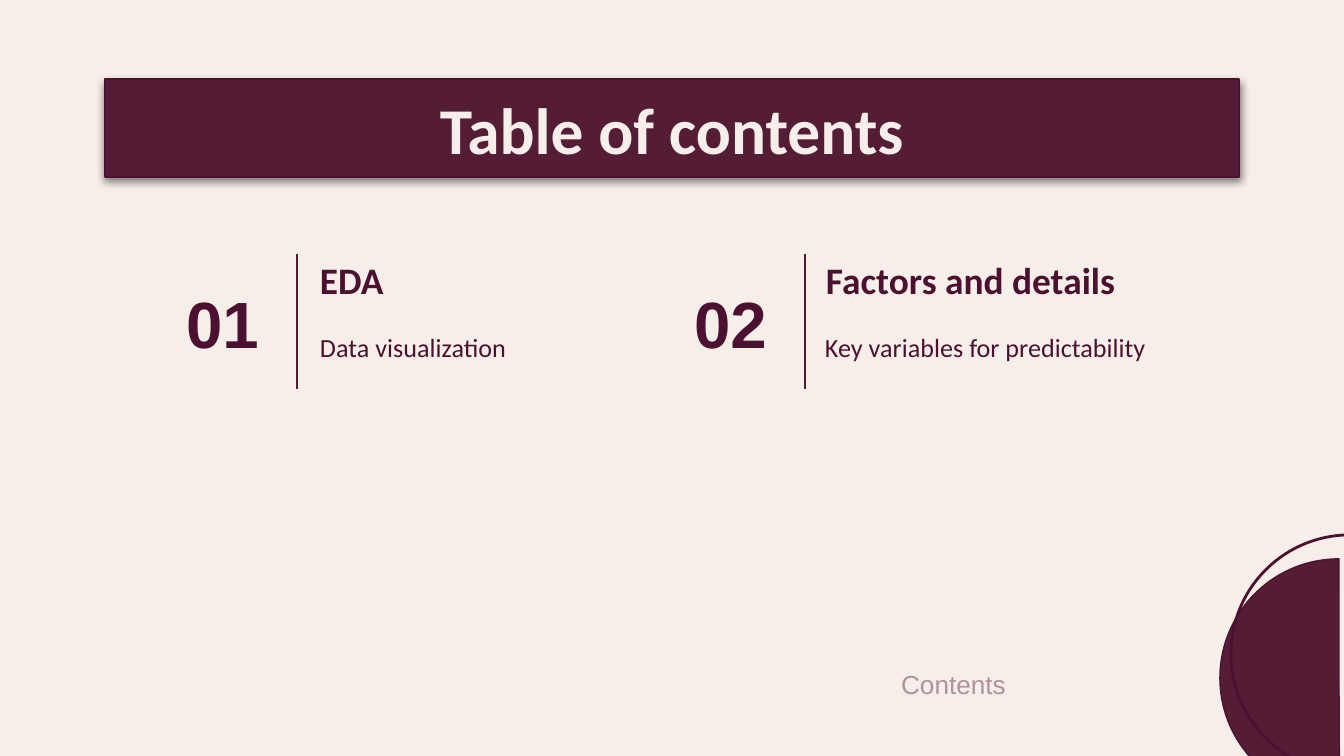
from lxml import etree
from pptx import Presentation
from pptx.dml.color import RGBColor
from pptx.enum.shapes import MSO_CONNECTOR, MSO_SHAPE
from pptx.enum.text import MSO_ANCHOR, MSO_AUTO_SIZE, PP_ALIGN
from pptx.oxml.ns import qn
from pptx.util import Emu, Inches, Pt

WIDTH, HEIGHT = 1344, 756  # slide size in px
PX = Inches(10) / WIDTH  # EMU per px
TITLE_ONLY = 5
PIE, STRAIGHT = MSO_SHAPE.PIE, MSO_CONNECTOR.STRAIGHT
LEFT, CENTER = PP_ALIGN.LEFT, PP_ALIGN.CENTER
TOP, MIDDLE = MSO_ANCHOR.TOP, MSO_ANCHOR.MIDDLE
NO_FIT = MSO_AUTO_SIZE.NONE

CREAM = RGBColor(0xF6, 0xEE, 0xE8)
PLUM = RGBColor(0x55, 0x1C, 0x36)
DARK_PLUM = RGBColor(0x4C, 0x11, 0x30)

TITLE_FONT = {"name": "Calibri", "size": Pt(35), "bold": True}
NUMBER_FONT = {"name": "Arial", "size": Pt(35), "bold": True}
HEADING_FONT = {"name": "Calibri", "size": Pt(20), "bold": True}
DETAIL_FONT = {"name": "Calibri", "size": Pt(14), "bold": False}
FOOTER_FONT = {"name": "Arial", "size": Pt(14), "bold": False}

# Number, heading, detail, and left edges of number, divider, heading, detail
ENTRIES = [
    ("01", "EDA", "Data visualization", (157, 297, 307, 307)),
    ("02", "Factors and details", "Key variables for predictability",
     (665, 805, 813, 812)),
]


def px(*lengths):
    return [Emu(round(length * PX)) for length in lengths]


def write(shape, text, font, color, align=LEFT, anchor=MIDDLE, inset=(13, 13)):
    frame = shape.text_frame
    side, end = px(*inset)
    layout = {"word_wrap": True, "auto_size": NO_FIT, "vertical_anchor": anchor,
              "margin_left": side, "margin_right": side,
              "margin_top": end, "margin_bottom": end}
    for name, value in layout.items():
        setattr(frame, name, value)
    paragraph = frame.paragraphs[0]
    paragraph.alignment = align
    run = paragraph.add_run()
    run.text = text
    for name, value in font.items():
        setattr(run.font, name, value)
    run.font.color.rgb = color
    return run


def add_text(slide, box, *content, **options):
    return write(slide.shapes.add_textbox(*px(*box)), *content, **options)


def outline(shape, color, width):
    shape.line.color.rgb = color
    shape.line.width = Pt(width)


def add_half_disc(slide, left, top, line_width, fill=None):
    disc = slide.shapes.add_shape(PIE, *px(left, top, 238, 238))
    disc.adjustments[0] = 53.817
    disc.adjustments[1] = 162
    disc.shadow.inherit = False
    if fill is None:
        disc.fill.background()
    else:
        disc.fill.solid()
        disc.fill.fore_color.rgb = fill
    outline(disc, DARK_PLUM, line_width)


def add_divider(slide, x, top, bottom):
    divider = slide.shapes.add_connector(STRAIGHT, *px(x, top, x, bottom))
    outline(divider, PLUM, 1.5)
    etree.SubElement(divider._element.spPr, qn("a:effectLst"))


def set_alpha(color_element, percent):
    alpha = etree.SubElement(color_element, qn("a:alpha"))
    alpha.set("val", str(percent * 1000))


def add_shadow(shape):
    effects = etree.SubElement(shape._element.spPr, qn("a:effectLst"))
    shadow = etree.SubElement(
        effects, qn("a:outerShdw"), blurRad=str(Pt(4.5)), dist=str(Pt(1.5)),
        dir="5400000", algn="bl", rotWithShape="0")
    set_alpha(etree.SubElement(shadow, qn("a:srgbClr"), val="000000"), 50)


def format_title(title):
    title.left, title.top, title.width, title.height = px(105, 79, 1134, 98)
    title.fill.solid()
    title.fill.fore_color.rgb = PLUM
    outline(title, DARK_PLUM, 0.75)
    add_shadow(title)
    write(title, "Table of contents", TITLE_FONT, CREAM, align=CENTER)


def add_entry(slide, number, heading, detail, edges):
    number_x, divider_x, heading_x, detail_x = edges
    add_text(slide, (number_x, 254, 131, 136), number, NUMBER_FONT, DARK_PLUM,
             align=CENTER)
    add_divider(slide, divider_x, 254, 389)
    add_text(slide, (heading_x, 251, 367, 57), heading, HEADING_FONT, DARK_PLUM)
    add_text(slide, (detail_x, 308, 367, 79), detail, DETAIL_FONT, DARK_PLUM)


def main():
    deck = Presentation()
    deck.slide_width, deck.slide_height = px(WIDTH, HEIGHT)
    slide = deck.slides.add_slide(deck.slide_layouts[TITLE_ONLY])
    slide.background.fill.solid()
    slide.background.fill.fore_color.rgb = CREAM

    # Corner decoration
    add_half_disc(slide, 1220, 559, 0.75, PLUM)
    add_half_disc(slide, 1231, 535, 1.5)

    # Title and entries
    format_title(slide.shapes.title)
    for entry in ENTRIES:
        add_entry(slide, *entry)

    # Faded footer label
    footer = add_text(slide, (754, 661, 399, 94), "Contents", FOOTER_FONT, PLUM,
                      align=CENTER, anchor=TOP, inset=(13, 7))
    set_alpha(footer._r.find(".//" + qn("a:srgbClr")), 43)

    deck.save("out.pptx")


if __name__ == "__main__":
    main()
